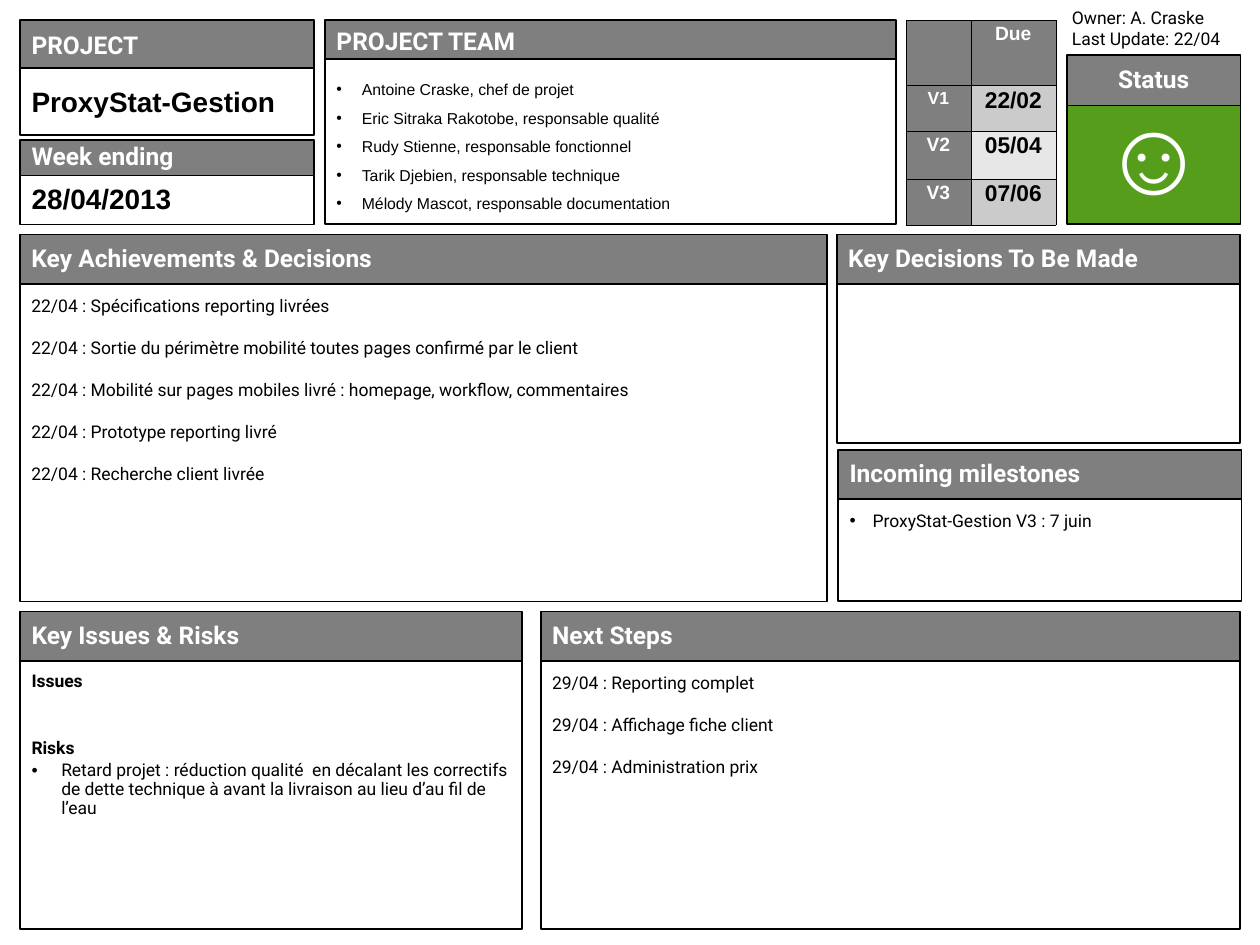
from lxml.etree import SubElement
from pptx import Presentation
from pptx.dml.color import RGBColor
from pptx.enum.shapes import MSO_SHAPE
from pptx.enum.text import MSO_ANCHOR, PP_ALIGN
from pptx.oxml.ns import qn
from pptx.util import Pt

HUES = {"black": "000000", "white": "FFFFFF", "gray": "7F7F7F",
        "mid": "CBCBCB", "pale": "E7E7E7", "green": "579D1C"}


def hue(name):
    return RGBColor.from_string(HUES[name])


def pad(item, left, top, right, foot):
    item.margin_left, item.margin_top = Pt(left), Pt(top)
    item.margin_right, item.margin_bottom = Pt(right), Pt(foot)


def bullet(para, depth):
    props = para._p.get_or_add_pPr()
    props.set("marL", str(Pt(depth)))
    props.set("indent", str(-Pt(depth)))
    color = SubElement(props, qn("a:buClr"))
    SubElement(color, qn("a:srgbClr"), val=HUES["black"])
    SubElement(props, qn("a:buFont"), typeface="Arial")
    SubElement(props, qn("a:buChar"), char="•")


def style(para, size, font="Roboto", color="black", bold=False,
          align=PP_ALIGN.LEFT, line=1.0, before=0, after=0):
    para.alignment = align
    para.line_spacing = line
    para.space_before, para.space_after = Pt(before), Pt(after)
    for run in para.runs:
        run.font.size, run.font.name = Pt(size), font
        run.font.bold = bold
        run.font.color.rgb = hue(color)


def write(frame, lines, size, depth=0, **look):
    frame.text = "\n".join(lines)
    for para in frame.paragraphs:
        style(para, size, **look)
        if depth:
            bullet(para, depth)


def box(slide, x, y, wide, high, fill="white", line=1):
    shape = slide.shapes.add_shape(
        MSO_SHAPE.RECTANGLE, Pt(x), Pt(y), Pt(wide), Pt(high))
    shape.shadow.inherit = False
    shape.fill.solid()
    shape.fill.fore_color.rgb = hue(fill)
    shape.line.color.rgb = hue("black")
    shape.line.width = Pt(line)
    frame = shape.text_frame
    frame.word_wrap = True
    frame.vertical_anchor = MSO_ANCHOR.TOP
    pad(frame, 6.5, 6.5, 6.5, 3.6)
    return shape


def panel(slide, title, x, y, wide, body, head=28.2, top=3.6,
          align=PP_ALIGN.LEFT, fill="white", line=1):
    shape = box(slide, x, y + head, wide, body, fill, line)
    frame = box(slide, x, y, wide, head, "gray").text_frame
    frame.vertical_anchor = MSO_ANCHOR.MIDDLE
    pad(frame, 6.5, top, 6.5, 3.6)
    write(frame, [title], 14, color="white", bold=True, line=0.9, align=align)
    return shape.text_frame


def label(frame, text, line=1.0):
    frame.vertical_anchor = MSO_ANCHOR.MIDDLE
    pad(frame, 6.5, 3.6, 6.5, 3.6)
    write(frame, [text], 16, font="Arial", bold=True, line=line)


def edge(cell):
    props = cell._tc.get_or_add_tcPr()
    for at, tag in enumerate(("a:lnL", "a:lnR", "a:lnT", "a:lnB")):
        line = props.makeelement(qn(tag), {"w": str(Pt(0.06))})
        solid = SubElement(line, qn("a:solidFill"))
        SubElement(solid, qn("a:srgbClr"), val=HUES["black"])
        props.insert(at, line)


def dates(slide):
    rows = [("", "Due", 11, 11, "gray"), ("V1", "22/02", 10, 13, "mid"),
            ("V2", "05/04", 11, 13, "pale"), ("V3", "07/06", 11, 13, "mid")]
    grid = slide.shapes.add_table(
        4, 2, Pt(517.7), Pt(11.5), Pt(85.7), Pt(117.2)).table
    for col, wide in zip(grid.columns, (37, 48.7)):
        col.width = Pt(wide)
    for row, high in zip(grid.rows, (37.4, 26, 27.5, 26.3)):
        row.height = Pt(high)
    for r, (name, due, small, large, fill) in enumerate(rows):
        cells = [(name, small, "gray", 2.9), (due, large, fill, 7.9)]
        for c, (text, size, back, side) in enumerate(cells):
            cell = grid.cell(r, c)
            cell.fill.solid()
            cell.fill.fore_color.rgb = hue(back)
            pad(cell, side, 3.6, side, 3.6)
            color = "white" if back == "gray" else "black"
            write(cell.text_frame, [text], size, font="Arial", color=color,
                  bold=True, line=0.81, align=PP_ALIGN.CENTER)
            edge(cell)


def risks(frame):
    frame.text = ("Issues\nRisks\nRetard projet : réduction qualité  en décalant "
                  "les correctifs de dette technique à avant la livraison "
                  "au lieu d’au fil de l’eau")
    for para, bold, before in zip(
            frame.paragraphs, (True, True, False), (2, 27.5, 2)):
        style(para, 10, bold=bold, line=0.9, before=before)
    bullet(frame.paragraphs[2], 17)


def status(slide):
    note = slide.shapes.add_textbox(Pt(605.5), Pt(0.7), Pt(103), Pt(31.7))
    note.text_frame.word_wrap = True
    pad(note.text_frame, 7.2, 3.6, 3, 3.6)
    write(note.text_frame, ["Owner: A. Craske", "Last Update: 22/04"], 10)
    face = panel(slide, "Status", 609.7, 31.5, 99.2, 67.7, head=28.8,
                 align=PP_ALIGN.CENTER, fill="green", line=0.75)
    face.vertical_anchor = MSO_ANCHOR.MIDDLE
    pad(face, 7.2, 3.6, 7.2, 3.6)
    write(face, ["☺"], 60, font="Arial", color="white", line=0.8,
          before=15, align=PP_ALIGN.CENTER)


def main():
    deck = Presentation()
    deck.slide_width, deck.slide_height = Pt(720), Pt(540)
    slide = deck.slides.add_slide(deck.slide_layouts[6])
    left, high = 11.5, 134

    label(panel(slide, "Week ending", left, 80, 168, 28, head=20.3),
          "28/04/2013", line=0.9)
    label(panel(slide, "PROJECT", left, 11.5, 168, 38.3, head=27.4, top=6.5),
          "ProxyStat-Gestion")
    team = panel(slide, "PROJECT TEAM", 185.8, 11.5, 326.2, 94.3,
                 head=22.3, top=6.5)
    write(team, ["Antoine Craske, chef de projet",
                 "Eric Sitraka Rakotobe, responsable qualité",
                 "Rudy Stienne, responsable fonctionnel",
                 "Tarik Djebien, responsable technique",
                 "Mélody Mascot, responsable documentation"],
          9, depth=14.5, font="Arial", line=1.5)
    dates(slide)
    status(slide)

    done = panel(slide, "Key Achievements & Decisions", left, high, 461.2, 181.5)
    write(done, ["22/04 : Spécifications reporting livrées",
                 "22/04 : Sortie du périmètre mobilité toutes pages confirmé par le client",
                 "22/04 : Mobilité sur pages mobiles livré : homepage, workflow, commentaires",
                 "22/04 : Prototype reporting livré",
                 "22/04 : Recherche client livrée"], 10, after=12)
    panel(slide, "Key Decisions To Be Made", 478.2, high, 230.5, 90.8)
    goals = panel(slide, "Incoming milestones", 479, 257, 230.5, 58.3)
    write(goals, ["ProxyStat-Gestion V3 : 7 juin"], 10, depth=13.2)

    risks(panel(slide, "Key Issues & Risks", left, 349.4, 286.6, 153.4))
    steps = panel(slide, "Next Steps", 309, 349.4, 399.6, 153.4)
    write(steps, ["29/04 : Reporting complet",
                  "29/04 : Affichage fiche client",
                  "29/04 : Administration prix"], 10, after=12)
    deck.save("out.pptx")


if __name__ == "__main__":
    main()
